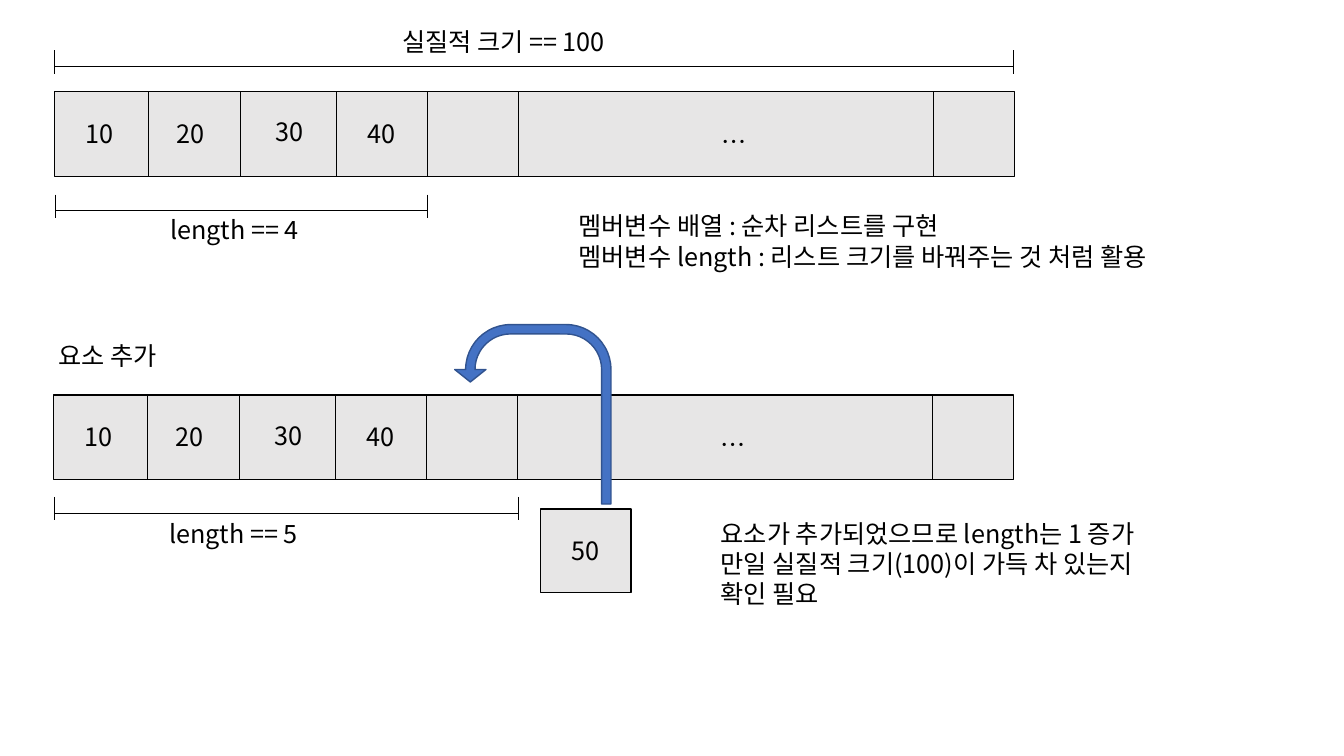
from lxml import etree
from pptx import Presentation
from pptx import util as u
from pptx.dml.color import RGBColor
from pptx.enum import shapes, text
from pptx.oxml.ns import qn

PX = 9144
FONT = "Noto Sans CJK KR"
COLORS = {"ink": "000000", "cell": "E7E6E6", "arrow": "4472C4", "arrow_edge": "31538F"}
DIVIDERS = [93, 185, 280, 370, 460, 872]
VALUES = [("10", 21, 21), ("20", 111, 21), ("30", 209, 20), ("40", 301, 21)]
ROW_W, ROW_H = 952, 84


def px(*lengths):
    return [u.Emu(n * PX) for n in lengths]


def color(name):
    return RGBColor.from_string(COLORS[name])


def write(tf, content):
    tf.text = content
    for p in tf.paragraphs:
        for r in p.runs:
            r.font.size = u.Pt(18)
            r.font.name = FONT
            r.font.color.rgb = color("ink")
            etree.SubElement(r._r.get_or_add_rPr(), qn("a:ea"), typeface=FONT)


def add_label(s, content, x, y, w, h=40):
    tf = s.shapes.add_textbox(*px(x, y, w, h)).text_frame
    tf.word_wrap = True
    tf.auto_size = text.MSO_AUTO_SIZE.SHAPE_TO_FIT_TEXT
    write(tf, content)


def add_line(s, x1, y1, x2, y2):
    c = s.shapes.add_connector(shapes.MSO_CONNECTOR.STRAIGHT, *px(x1, y1, x2, y2))
    c.line.color.rgb = color("ink")
    c.line.width = u.Pt(0.75)
    etree.SubElement(c._element.spPr, qn("a:effectLst"))


def add_figure(s, kind, x, y, w, h, fill="cell", edge="ink"):
    sp = s.shapes.add_shape(kind, *px(x, y, w, h))
    sp.shadow.inherit = False
    sp.fill.solid()
    sp.fill.fore_color.rgb = color(fill)
    sp.line.color.rgb = color(edge)
    sp.line.width = u.Pt(1)
    return sp


def add_box(s, x, y, w, h, content=None):
    sp = add_figure(s, shapes.MSO_SHAPE.RECTANGLE, x, y, w, h)
    if content:
        tf = sp.text_frame
        tf.vertical_anchor = text.MSO_ANCHOR.MIDDLE
        write(tf, content)
        tf.paragraphs[0].alignment = text.PP_ALIGN.CENTER


def add_array(s, x, y):
    add_box(s, x, y, ROW_W, ROW_H)
    for dx in DIVIDERS:
        add_line(s, x + dx, y, x + dx, y + ROW_H)
    for value, dx, dy in VALUES:
        add_label(s, value, x + dx, y + dy, 48)
    add_label(s, "…", x + 652, y + 29, 140)


def add_bracket(s, x1, x2, y):
    for x in (x1, x2):
        add_line(s, x, y - 16, x, y + 7)
    add_line(s, x1, y, x2, y)


def add_insert_arrow(s, x, y, w, h):
    sp = add_figure(s, shapes.MSO_SHAPE.U_TURN_ARROW, x, y, w, h, "arrow", "arrow_edge")
    for i, value in enumerate([0.06, 0.1, 0.08, 0.44, 0.32]):
        sp.adjustments[i] = value
    sp._element.spPr.xfrm.set("flipH", "1")


def main():
    prs = Presentation()
    prs.slide_width, prs.slide_height = u.Inches(13.33), u.Inches(7.5)
    s = prs.slides.add_slide(prs.slide_layouts[6])

    add_array(s, 54, 91)
    add_bracket(s, 54, 1005, 66)
    add_label(s, "실질적 크기 == 100", 389, 21, 250)
    add_bracket(s, 55, 424, 209)
    add_label(s, "length == 4", 159, 208, 160)
    add_label(s, "멤버변수 배열 : 순차 리스트를 구현\n"
                 "멤버변수 length : 리스트 크기를 바꿔주는 것 처럼 활용", 564, 204, 682, 71)

    add_array(s, 53, 392)
    add_bracket(s, 54, 514, 509)
    add_label(s, "length == 5", 158, 509, 160)
    add_box(s, 536, 505, 90, 83, "50")
    add_insert_arrow(s, 451, 322, 155, 178)
    add_label(s, "요소 추가", 48, 333, 682)
    add_label(s, "요소가 추가되었으므로 length는 1 증가\n"
                 "만일 실질적 크기(100)이 가득 차 있는지\n"
                 "확인 필요", 705, 509, 561, 101)

    prs.save("out.pptx")


if __name__ == "__main__":
    main()
